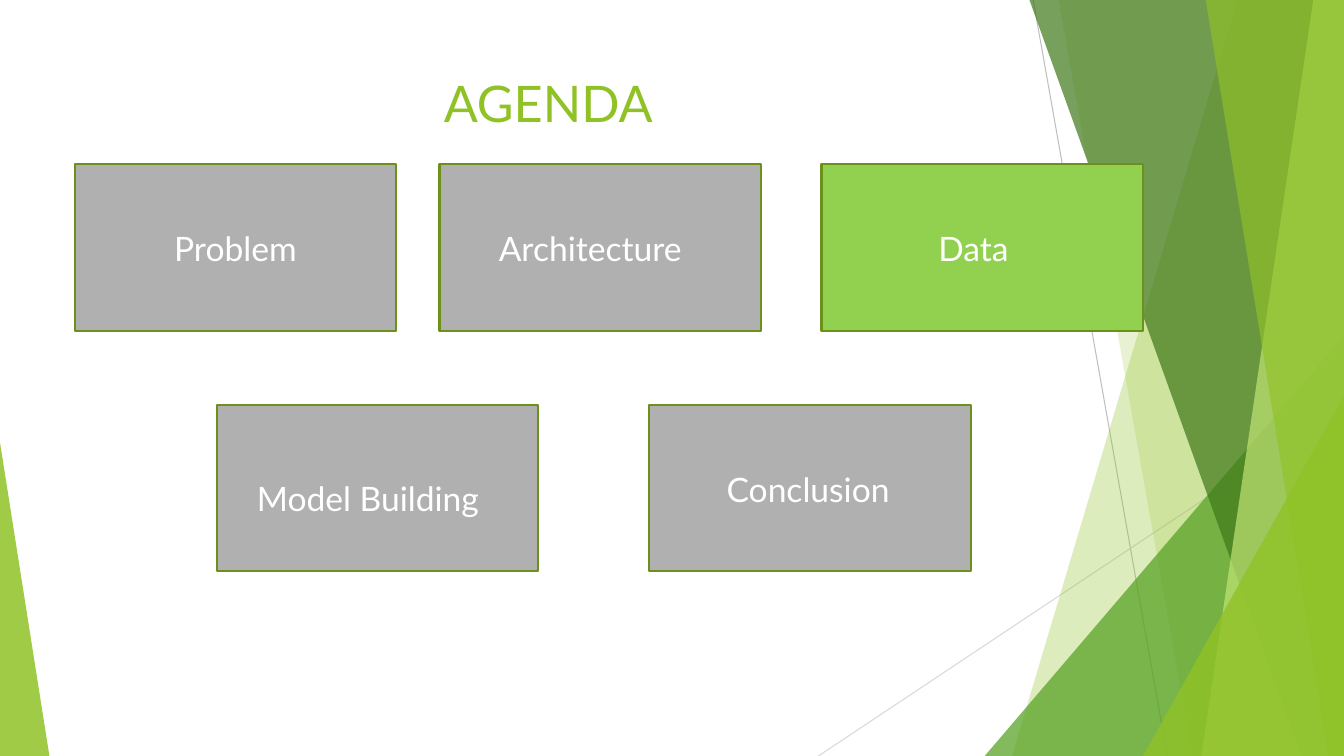
import pptx
import pptx.dml.color
import pptx.enum.shapes
import pptx.enum.text
import pptx.oxml
import pptx.oxml.ns
import pptx.util

Pt = pptx.util.Pt
SHAPE = pptx.enum.shapes.MSO_SHAPE
ALIGN = pptx.enum.text.PP_ALIGN
ANCHOR = pptx.enum.text.MSO_ANCHOR
WIDTH, HEIGHT = 960, 540
FACET_TOP = -0.7
CARD_SIZE = (229.7, 118.8)
ROW_TOPS = (117.4, 289.4)
COLORS = {
    "lime": "90C226",
    "leaf": "54A021",
    "forest": "3F7819",
    "pale": "C0E474",
    "olive": "6B901C",
    "grey": "B0B0B0",
    "active": "92D050",
    "white": "FFFFFF",
    "rule": "BFBFBF",
    "faint": "D9D9D9",
}


class SlideBuilder:
    font_name = "Lato"

    def __init__(self, slide):
        self.slide = slide

    def color(self, name):
        return pptx.dml.color.RGBColor.from_string(COLORS[name])

    def paint(self, shape, fill, alpha=100):
        shape.shadow.inherit = False
        shape.fill.solid()
        shape.fill.fore_color.rgb = self.color(fill)
        shape.line.fill.background()
        if alpha < 100:
            color = shape._element.spPr.find(".//" + pptx.oxml.ns.qn("a:srgbClr"))
            element = pptx.oxml.parse_xml(
                f'<a:alpha {pptx.oxml.ns.nsdecls("a")} val="{alpha * 1000}"/>'
            )
            color.append(element)

    def rule(self, start, end, color):
        ends = [Pt(value) for value in (*start, *end)]
        line = self.slide.shapes.add_connector(
            pptx.enum.shapes.MSO_CONNECTOR.STRAIGHT, *ends
        )
        line.line.color.rgb = self.color(color)
        line.line.width = Pt(0.75)
        line._element.spPr.append(
            pptx.oxml.parse_xml(f'<a:effectLst {pptx.oxml.ns.nsdecls("a")}/>')
        )

    def facet(self, top_x, bottom_x, fill, alpha):
        corners = [(WIDTH, FACET_TOP), (WIDTH, HEIGHT), (bottom_x, HEIGHT)]
        builder = self.slide.shapes.build_freeform(Pt(top_x), Pt(FACET_TOP), scale=1.0)
        builder.add_line_segments([(Pt(x), Pt(y)) for x, y in corners], close=True)
        self.paint(builder.convert_to_shape(), fill, alpha)

    def triangle(self, left, width, height, apex, fill, alpha):
        frame = [Pt(value) for value in (left, HEIGHT - height, width, height)]
        shape = self.slide.shapes.add_shape(SHAPE.ISOSCELES_TRIANGLE, *frame)
        shape.adjustments[0] = apex
        self.paint(shape, fill, alpha)

    def card(self, left, top, fill):
        frame = [Pt(value) for value in (left, top, *CARD_SIZE)]
        card = self.slide.shapes.add_shape(SHAPE.RECTANGLE, *frame)
        self.paint(card, fill)
        card.line.color.rgb = self.color("olive")
        card.line.width = Pt(1.5)
        return card

    def caption(self, shape, text, size=24, color="white", align=ALIGN.LEFT, anchor=ANCHOR.TOP):
        frame = shape.text_frame
        frame.word_wrap = True
        frame.vertical_anchor = anchor
        para = frame.paragraphs[0]
        para.alignment = align
        span = para.add_run()
        span.text = text
        formats = {"name": self.font_name, "size": Pt(size)}
        for attribute, value in formats.items():
            setattr(span.font, attribute, value)
        span.font.color.rgb = self.color(color)

    def label(self, text, left, top, width, height, **style):
        frame = [Pt(value) for value in (left, top, width, height)]
        box = self.slide.shapes.add_textbox(*frame)
        self.caption(box, text, **style)


def main():
    deck = pptx.Presentation()
    deck.slide_width, deck.slide_height = Pt(WIDTH), Pt(HEIGHT)
    page = SlideBuilder(deck.slides.add_slide(deck.slide_layouts[6]))

    page.rule((738, 0), (833.8, HEIGHT), "rule")
    page.rule((WIDTH, 290.2), (584.6, HEIGHT), "faint")
    page.facet(884.2, 722.9, "lime", 30)
    page.facet(756, 851.8, "lime", 20)
    page.triangle(703.4, 256.6, 300.2, 1, "leaf", 72)
    page.facet(735.1, 929.5, "forest", 70)
    page.facet(938.2, 858.2, "pale", 70)
    page.facet(861.1, 949, "lime", 65)
    page.triangle(816.5, 143.5, 257, 1, "lime", 80)
    page.triangle(0, 35.3, 223.9, 0, "lime", 85)

    page.label("AGENDA", 53.3, 48.2, 676.8, 103.7, size=36, color="lime", align=ALIGN.CENTER)

    problem = page.card(53.3, ROW_TOPS[0], "grey")
    page.caption(problem, "Problem", align=ALIGN.CENTER, anchor=ANCHOR.MIDDLE)
    topics = [
        ("Architecture", 313.9, 0, "grey", 349.2, 159.1),
        ("Data", 586.8, 0, "active", 663.1, 159.1),
        ("Model Building", 154.8, 1, "grey", 176.4, 337.7),
        ("Conclusion", 463.7, 1, "grey", 511.9, 331.2),
    ]
    for text, left, row, fill, text_left, text_top in topics:
        page.card(left, ROW_TOPS[row], fill)
        page.label(text, text_left, text_top, CARD_SIZE[0], 36)

    deck.save("out.pptx")


if __name__ == "__main__":
    main()
